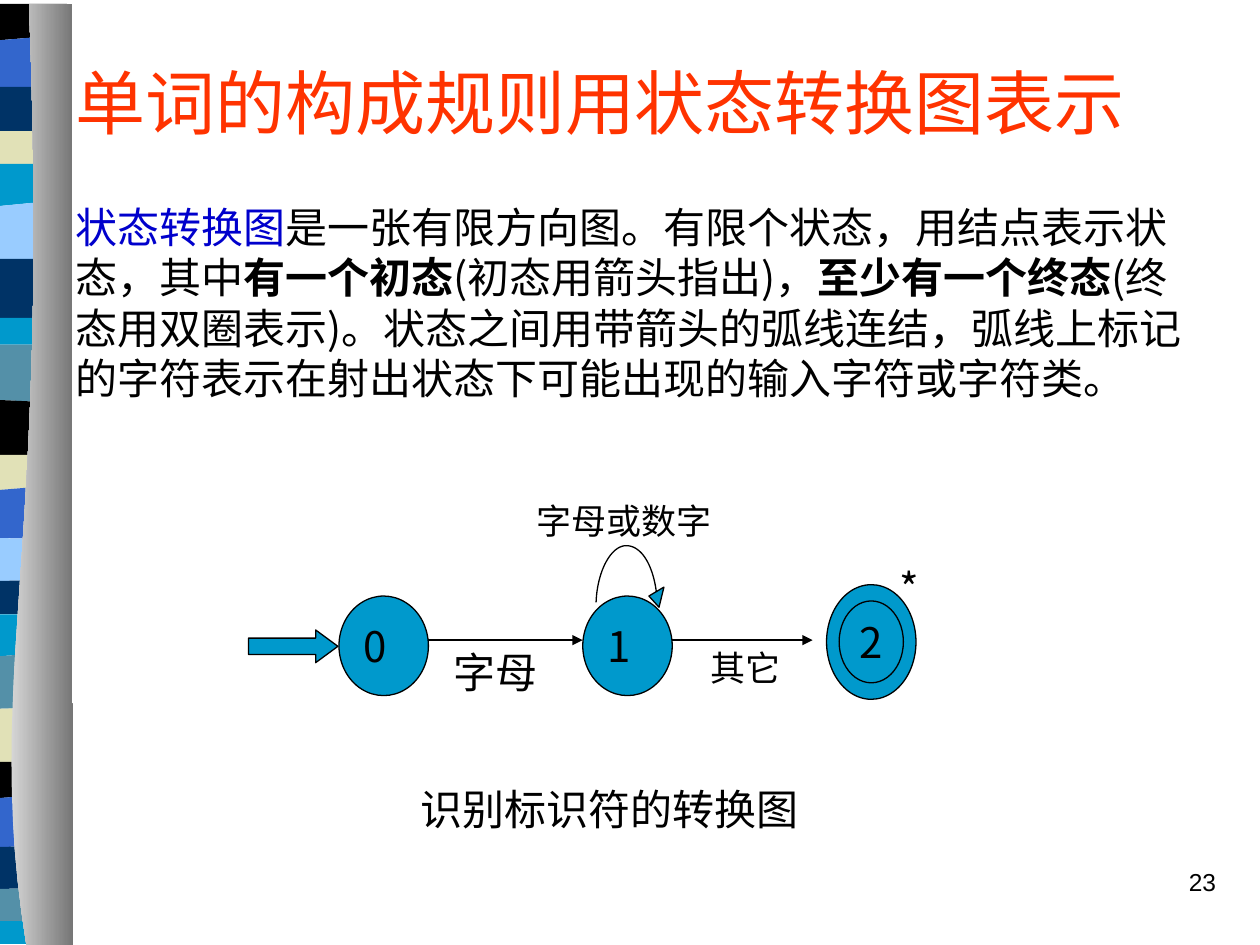
from pptx import Presentation
from pptx.dml.color import RGBColor
from pptx.enum import shapes as sh, text as tx
from pptx.oxml import ns, xmlchemy as xc
from pptx.util import Pt

COL = dict(black="000000", blue="3366CC", navy="003366", sand="E1E1B7",
           cyan="0099CC", sky="99CCFF", teal="5490A8", red="FF3300",
           link="0000CC", grey="767676", pale="D5D5D5")
CJK = "Noto Sans CJK SC"

# top at the slide edge, top under the fold, colour
BANDS = [
    (2.3, 2.3, "black"), (23, 21, "blue"), (49.7, 49.7, "navy"),
    (75, 75, "sand"), (93.7, 93.7, "cyan"), (117.7, 115.4, "sky"),
    (148, 148, "navy"), (181.7, 181.7, "cyan"), (197, 197, "teal"),
    (228.6, 229.7, "black"), (260, 260, "sand"), (280, 278, "blue"),
    (307.5, 308, "sky"), (332, 331.5, "navy"), (351, 351, "cyan"),
    (375, 373, "teal"), (405, 404.5, "sand"), (435.4, 435.4, "black"),
    (456, 454.3, "blue"), (484, 483.5, "navy"), (508, 507.5, "teal"),
    (526.3, 526.3, "cyan"), (539.3, 539.3, None)]

BODY = [("状态转换图", False, "link"),
        ("是一张有限方向图。有限个状态，用结点表示状态，其中", False, "black"),
        ("有一个初态", True, "black"),
        ("(初态用箭头指出)，", False, "black"),
        ("至少有一个终态", True, "black"),
        ("(终态用双圈表示)。状态之间用带箭头的弧线连结，"
         "弧线上标记的字符表示在射出状态下可能出现的输入字符或字符类。", False, "black")]


def rgb(name):
    return RGBColor.from_string(COL[name])


def style(par, size, face=CJK, col="black"):
    font = par.font
    font.size, font.name = Pt(size), face
    font.color.rgb = rgb(col)
    east = xc.OxmlElement("a:ea")
    east.set("typeface", face)
    par._p.pPr.find(ns.qn("a:defRPr")).append(east)
    par._p.pPr.set("hangingPunct", "0")
    par.line_spacing = Pt(size * 1.2)


def frame(shape, wrap=True, anchor=tx.MSO_ANCHOR.TOP, right=7.2):
    box = shape.text_frame
    box.word_wrap, box.vertical_anchor = wrap, anchor
    box.auto_size = tx.MSO_AUTO_SIZE.NONE
    box.margin_left, box.margin_right = Pt(7.2), Pt(right)
    box.margin_top = box.margin_bottom = Pt(3.6)
    return box.paragraphs[0]


def label(slide, words, x, y, w, h, size=24, wrap=True, face=CJK):
    par = frame(slide.shapes.add_textbox(Pt(x), Pt(y), Pt(w), Pt(h)), wrap)
    par.text = words
    style(par, size, face)
    return par


def paint(shape, fill, line=None):
    shape.shadow.inherit = False
    if fill:
        shape.fill.solid()
        shape.fill.fore_color.rgb = rgb(fill)
    else:
        shape.fill.background()
    if line:
        shape.line.color.rgb, shape.line.width = rgb(line), Pt(0.75)
    else:
        shape.line.fill.background()


def solid(slide, kind, x, y, w, h):
    shape = slide.shapes.add_shape(kind, Pt(x), Pt(y), Pt(w), Pt(h))
    paint(shape, "cyan", "black")
    return shape


def outline(slide, x, y, points, close=True):
    """Join points, given relative to x, y, by straight segments."""
    first, *rest = [(Pt(x + a), Pt(y + b)) for a, b in points]
    build = slide.shapes.build_freeform(*first)
    build.add_line_segments(rest, close=close)
    return build.convert_to_shape()


def curve(*ctrl, steps=24):
    """Sample a cubic Bezier curve."""
    for i in range(steps + 1):
        t = i / steps
        mix = ((1 - t)**3, 3 * t * (1 - t)**2, 3 * t * t * (1 - t), t**3)
        yield tuple(sum(m * c[k] for m, c in zip(mix, ctrl)) for k in (0, 1))


def border(slide, x, y):
    """Colour bands that bleed over the left edge, under a grey fold."""
    xs = (-41, 0, 24, 38.2)
    for (a, b, col), (c, d, _) in zip(BANDS, BANDS[1:]):
        top, low = zip(xs, (a, a, b, b)), zip(xs[::-1], (d, d, c, c))
        paint(outline(slide, x, y, [*top, *low]), col)
    edge = curve((15.1, 540), (-10, 384.5), (29.5, 327.6), (16.6, 2))
    fold = outline(slide, x, y, [*edge, (41, 2), (41.8, 540)])
    paint(fold, "grey")
    fold.fill.gradient()
    fold.fill.gradient_angle = 0
    for stop, col, pos in zip(fold.fill.gradient_stops, ("pale", "grey"), (0, 1)):
        stop.color.rgb, stop.position = rgb(col), pos


def node(slide, words, x, y, w, h, right=7.2):
    shape = solid(slide, sh.MSO_SHAPE.OVAL, x, y, w, h)
    if words:
        par = frame(shape, False, tx.MSO_ANCHOR.MIDDLE, right)
        par.text, par.alignment = words, tx.PP_ALIGN.CENTER
        style(par, 24)


def arrow(slide, x, y, w):
    line = slide.shapes.add_connector(
        sh.MSO_CONNECTOR.STRAIGHT, Pt(x), Pt(y), Pt(x + w), Pt(y))
    line.line.color.rgb, line.line.width = rgb("black"), Pt(0.75)
    tip = xc.OxmlElement("a:tailEnd")
    tip.set("type", "triangle")
    line.line._get_or_add_ln().append(tip)
    line._element.spPr.append(xc.OxmlElement("a:effectLst"))


def diagram(slide, x, y):
    """State graph: start arrow, two plain states, one final state."""
    left, step, wide = x + 51.7, 139.3, 51.1
    last = left + 2 * step
    start = solid(slide, sh.MSO_SHAPE.RIGHT_ARROW, x, y + 78, wide, 18.7)
    start.adjustments[0], start.adjustments[1] = 0.5, 0.68
    for i in (0, 1):
        node(slide, str(i), left + i * step, y + 58.6, wide, 56.9, right=16.4)
    node(slide, "", last, y + 52.1, wide, 65.5)
    node(slide, "2", last + 7.2, y + 61.4, 36.7, 46.8)
    arrow(slide, left + wide, y + 83.8, step - wide)
    arrow(slide, left + step + wide, y + 83.8, 80.3)

    arc = [*curve((198.6, 62.2), (199.3, 44.2), (207.2, 29.8), (215.8, 29.8)),
           *curve((215.8, 29.8), (224.5, 29.8), (231, 40.6), (233.1, 56.4))]
    paint(outline(slide, x, y, arc, close=False), None, "black")
    head = outline(slide, x, y, [(237.4, 53.5), (234.6, 65), (228.8, 58.6)])
    paint(head, "cyan", "black")

    label(slide, "字母", x + 110, y + 83.8, 103, 36)
    label(slide, "字母或数字", x + 157.5, y, 154, 32, 20)
    label(slide, "其它", x + 257, y + 83.8, 95, 32, 20)
    label(slide, "*", x + 365, y + 36.2, 27, 36, wrap=False)


def heading(slide, x, y, w, h):
    title = slide.shapes.title
    title.left, title.top, title.width, title.height = map(Pt, (x, y, w, h))
    par = frame(title, anchor=tx.MSO_ANCHOR.MIDDLE)
    par.text, par.alignment = "单词的构成规则用状态转换图表示", tx.PP_ALIGN.LEFT
    style(par, 40, col="red")


def body(slide, x, y, w, h):
    par = label(slide, "", x, y, w, h)
    for words, bold, col in BODY:
        run = par.add_run()
        run.text, run.font.bold = words, bold
        run.font.color.rgb = rgb(col)


def main():
    deck = Presentation()
    deck.slide_width, deck.slide_height = Pt(720), Pt(540)
    slide = deck.slides.add_slide(deck.slide_layouts[5])
    border(slide, 0, 0)
    heading(slide, 36, 21.6, 648, 72.7)
    body(slide, 36, 111.6, 648, 150)
    diagram(slide, 142, 282)
    label(slide, "识别标识符的转换图", 233.3, 444.2, 301, 36)
    page = label(slide, "23", 552.2, 491.8, 149.8, 36, 14, face="Arial")
    page.alignment = tx.PP_ALIGN.RIGHT
    deck.save("out.pptx")


if __name__ == "__main__":
    main()
